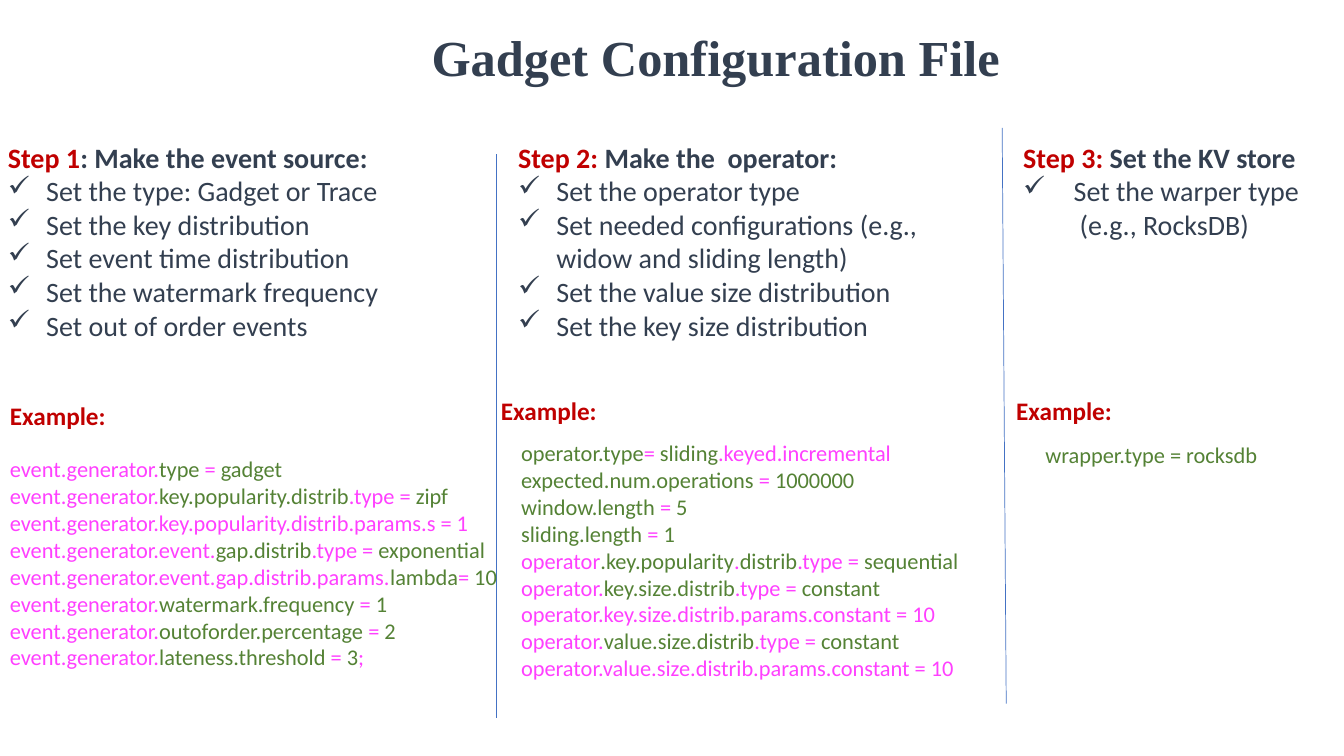
from dataclasses import dataclass

from lxml.etree import SubElement
from pptx import Presentation
from pptx.dml.color import RGBColor
from pptx.enum.shapes import MSO_CONNECTOR as Connector
from pptx.enum.text import MSO_ANCHOR as Anchor, MSO_AUTO_SIZE as AutoSize, PP_ALIGN as Align
from pptx.oxml.ns import qn
from pptx.util import Inches, Pt

COLORS = {
    "navy": "333F50",
    "red": "C00000",
    "pink": "FF40FF",
    "green": "548235",
    "blue": "4472C4",
}


@dataclass
class Box:
    left: float
    top: float
    width: float
    height: float


@dataclass
class Step:
    box: Box
    label: str
    heading: str
    items: list[str]
    indent: float = 0.38
    note: str = ""


@dataclass
class Example:
    label_box: Box
    code_box: Box
    lines: list[str]


@dataclass
class Divider:
    start: tuple[float, float]
    end: tuple[float, float]


STEPS = [
    Step(Box(-0.02, 1.34, 4.79, 2.46), "Step 1", ": Make the event source:", [
        "Set the type: Gadget or Trace",
        "Set the key distribution",
        "Set event time distribution",
        "Set the watermark frequency",
        "Set out of order events",
    ]),
    Step(Box(5.04, 1.34, 4.79, 2.12), "Step 2: ", "Make the  operator:", [
        "Set the operator type",
        "Set needed configurations (e.g., widow and sliding length)",
        "Set the value size distribution",
        "Set the key size distribution",
    ]),
    Step(Box(10.05, 1.34, 4.79, 1.11), "Step 3: ", "Set the KV store",
         ["Set the warper type"], indent=0.5, note="(e.g., RocksDB)"),
]

EXAMPLES = [
    Example(Box(0, 3.92, 1.29, 0.4), Box(0, 4.47, 5.34, 2.79), [
        "event.generator.|type| = |gadget",
        "event.generator.|key.popularity.distrib|.type = |zipf",
        "event.generator.key.popularity.distrib.params.s = 1",
        "event.generator.event.|gap.distrib|.type = |exponential",
        "event.generator.event.gap.distrib.params.|lambda|= |10",
        "event.generator.|watermark.frequency |= |1",
        "event.generator.|outoforder.percentage| = |2",
        "event.generator.|lateness.threshold |= |3|;",
    ]),
    Example(Box(4.87, 3.87, 1.29, 0.4), Box(5.07, 4.31, 5.34, 2.52), [
        "|operator.type|= |sliding|.keyed.incremental",
        "|expected.num.operations |= |1000000",
        "|window.length |=| 5",
        "|sliding.length |= |1",
        "operator|.key.popularity|.|distrib|.type = |sequential",
        "operator.|key.size.distrib|.type = |constant",
        "operator.key.size.distrib.params.constant = 10",
        "operator.|value.size.distrib|.type = |constant",
        "operator.value.size.distrib.params.constant = 10",
    ]),
    Example(Box(9.98, 3.87, 1.29, 0.4), Box(10.27, 4.33, 7.16, 0.37),
            ["|wrapper.type = rocksdb"]),
]

DIVIDERS = [Divider((4.92, 1.53), (4.92, 7.12)), Divider((9.94, 1.27), (9.98, 6.98))]


def add_run(paragraph, text: str, *, size: float, color: str, bold: bool = False,
            font: str = "Calibri") -> None:
    """Append one formatted run to a paragraph."""
    run = paragraph.add_run()
    run.text = text
    run.font.name = font
    run.font.size = Pt(size)
    run.font.bold = bold
    run.font.color.rgb = RGBColor.from_string(COLORS[color])


def add_text_frame(slide, box: Box):
    """Add a wrapping text box and return its text frame."""
    shape = slide.shapes.add_textbox(*map(Inches, (box.left, box.top, box.width, box.height)))
    shape.text_frame.word_wrap = True
    shape.text_frame.auto_size = AutoSize.SHAPE_TO_FIT_TEXT
    return shape.text_frame


def set_indent(paragraph, indent: float, bullet: str = "") -> None:
    """Indent a paragraph, hanging a bullet in the margin if one is given."""
    properties = paragraph._p.get_or_add_pPr()
    properties.set("marL", str(Inches(indent)))
    if bullet:
        properties.set("indent", str(-Inches(indent)))
        SubElement(properties, qn("a:buChar")).set("char", bullet)


def add_title(slide, text: str) -> None:
    """Place and format the title placeholder."""
    title = slide.shapes.title
    title.left, title.top, title.width, title.height = map(Inches, (4.18, 0.21, 5.9, 0.71))
    frame = title.text_frame
    frame.word_wrap = False
    frame.auto_size = AutoSize.SHAPE_TO_FIT_TEXT
    frame.vertical_anchor = Anchor.TOP
    paragraph = frame.paragraphs[0]
    paragraph.alignment = Align.LEFT
    paragraph.line_spacing = 1.0
    paragraph.space_before = Pt(0)
    add_run(paragraph, text, size=36, color="navy", bold=True, font="Times New Roman")


def add_step(slide, step: Step) -> None:
    """Draw a step heading with its check list."""
    frame = add_text_frame(slide, step.box)
    heading = frame.paragraphs[0]
    add_run(heading, step.label, size=20, color="red", bold=True)
    add_run(heading, step.heading, size=20, color="navy", bold=True)
    for item in step.items:
        paragraph = frame.add_paragraph()
        set_indent(paragraph, step.indent, "✓")
        add_run(paragraph, item, size=20, color="navy")
    if step.note:
        paragraph = frame.add_paragraph()
        set_indent(paragraph, step.indent + 0.06)
        add_run(paragraph, step.note, size=20, color="navy")


def add_example(slide, example: Example) -> None:
    """Draw an example label and its lines, whose parts alternate pink and green."""
    label = add_text_frame(slide, example.label_box).paragraphs[0]
    add_run(label, "Example:", size=18, color="red", bold=True)
    frame = add_text_frame(slide, example.code_box)
    for index, line in enumerate(example.lines):
        paragraph = frame.add_paragraph() if index else frame.paragraphs[0]
        for position, part in enumerate(line.split("|")):
            if part:
                add_run(paragraph, part, size=16, color=("pink", "green")[position % 2])


def add_divider(slide, divider: Divider) -> None:
    """Draw a thin line between two columns."""
    line = slide.shapes.add_connector(
        Connector.STRAIGHT, *map(Inches, divider.start + divider.end))
    line.line.color.rgb = RGBColor.from_string(COLORS["blue"])
    line.line.width = Pt(0.5)
    SubElement(line._element.spPr, qn("a:effectLst"))


def main() -> None:
    """Build the slide and save it."""
    presentation = Presentation()
    presentation.slide_width = Inches(13.33)
    presentation.slide_height = Inches(7.5)
    slide = presentation.slides.add_slide(presentation.slide_layouts.get_by_name("Title Only"))
    add_title(slide, "Gadget Configuration File")
    for step in STEPS:
        add_step(slide, step)
    for divider in DIVIDERS:
        add_divider(slide, divider)
    for example in EXAMPLES:
        add_example(slide, example)
    presentation.save("out.pptx")


if __name__ == "__main__":
    main()
